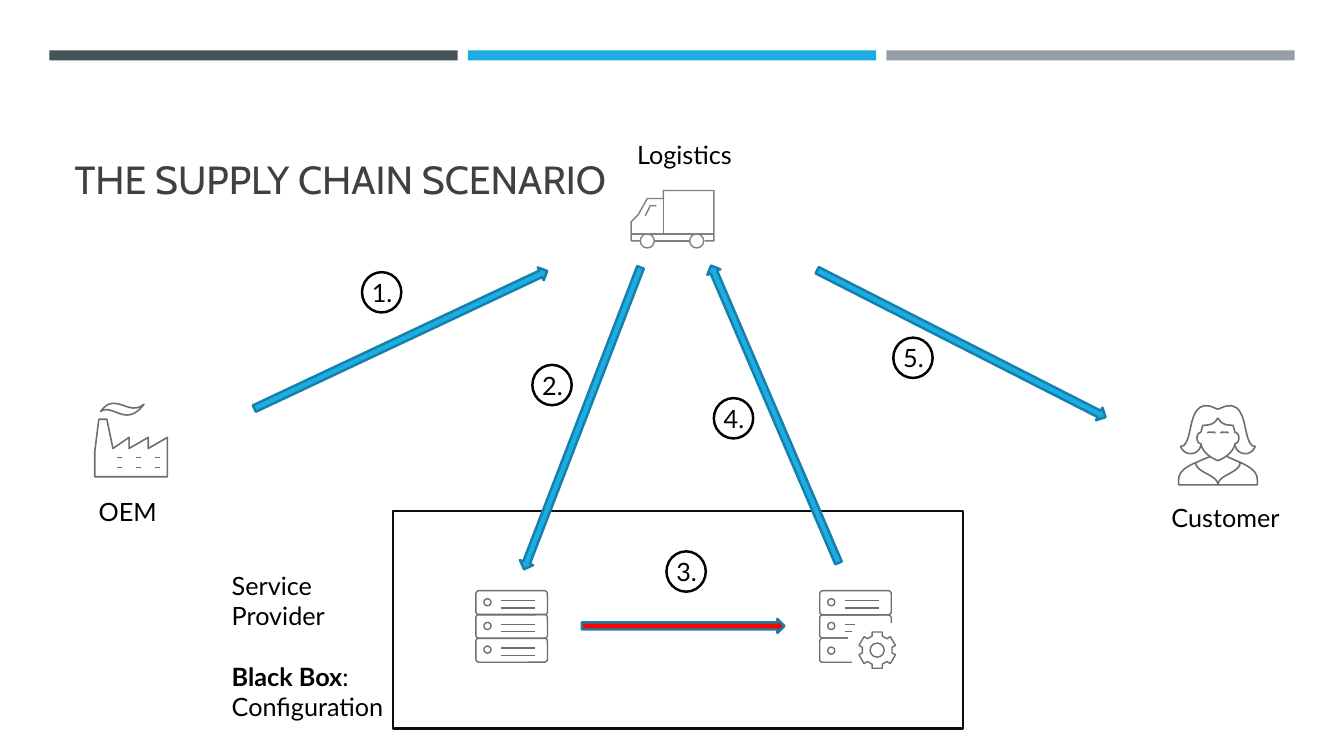
import math

from lxml import etree
from pptx import Presentation
from pptx.dml.color import RGBColor
from pptx.enum.shapes import MSO_CONNECTOR, MSO_SHAPE
from pptx.enum.text import MSO_ANCHOR, MSO_AUTO_SIZE, PP_ALIGN
from pptx.oxml.ns import qn
from pptx.util import Inches, Pt

RECTANGLE, ROUNDED = MSO_SHAPE.RECTANGLE, MSO_SHAPE.ROUNDED_RECTANGLE
OVAL, ARROW = MSO_SHAPE.OVAL, MSO_SHAPE.RIGHT_ARROW
STRAIGHT = MSO_CONNECTOR.STRAIGHT
BOTTOM, LEFT = MSO_ANCHOR.BOTTOM, PP_ALIGN.LEFT
FIXED, GROW = MSO_AUTO_SIZE.NONE, MSO_AUTO_SIZE.SHAPE_TO_FIT_TEXT

BLACK = RGBColor(0x00, 0x00, 0x00)
FRAME = RGBColor(0x0D, 0x0D, 0x0D)
TITLE = RGBColor(0x40, 0x40, 0x40)
SLATE = RGBColor(0x46, 0x53, 0x59)
SILVER = RGBColor(0x96, 0x9F, 0xA7)
BLUE = RGBColor(0x1C, 0xAD, 0xE4)
DARK_BLUE = RGBColor(0x15, 0x80, 0xA9)
RED = RGBColor(0xFF, 0x00, 0x00)

# A pen is a line colour and a width in points.
BOLD_PEN = (BLACK, 1.75)
FRAME_PEN = (FRAME, 1.75)
ARROW_PEN = (DARK_BLUE, 1.75)
ICON_PEN = (RGBColor(0x6D, 0x6E, 0x71), 1.13)
SERVER_PEN = (RGBColor(0x6D, 0x6E, 0x71), 1)
TRUCK_PEN = (RGBColor(0x80, 0x80, 0x80), 1)

TITLE_FONT, BODY_FONT = "Cabin", "Lato"
CURVE_STEPS = 12
SERVER_PITCH = 0.235


def set_line(line, pen):
    line.color.rgb, line.width = pen[0], Pt(pen[1])


def style(shape, fill, pen):
    shape.shadow.inherit = False
    if fill is None:
        shape.fill.background()
    else:
        shape.fill.solid()
        shape.fill.fore_color.rgb = fill
    if pen is None:
        shape.line.fill.background()
    else:
        set_line(shape.line, pen)


def add_preset(shapes, kind, left, top, width, height, fill=None, pen=None):
    shape = shapes.add_shape(kind, Inches(left), Inches(top), Inches(width), Inches(height))
    style(shape, fill, pen)
    return shape


def add_stroke(shapes, x1, y1, x2, y2, pen):
    stroke = shapes.add_connector(STRAIGHT, Inches(x1), Inches(y1), Inches(x2), Inches(y2))
    set_line(stroke.line, pen)
    etree.SubElement(stroke.element.spPr, qn("a:effectLst"))


def curve_points(start, curve):
    """Sample a cubic curve given as two control points and an end point."""
    xs, ys = (start[0], *curve[::2]), (start[1], *curve[1::2])
    for step in range(1, CURVE_STEPS + 1):
        t = step / CURVE_STEPS
        weights = ((1 - t) ** 3, 3 * t * (1 - t) ** 2, 3 * t * t * (1 - t), t ** 3)
        yield tuple(sum(w * v for w, v in zip(weights, axis)) for axis in (xs, ys))


def add_outline(shapes, pen, segments, close=False):
    """Draw a path: two numbers are a point, six are a cubic curve."""
    points = [segments[0]]
    for segment in segments[1:]:
        points += [segment] if len(segment) == 2 else curve_points(points[-1], segment)
    first, *rest = [(Inches(x), Inches(y)) for x, y in points]
    builder = shapes.build_freeform(*first)
    builder.add_line_segments(rest, close=close)
    style(builder.convert_to_shape(), None, pen)


def add_label(shapes, left, top, width, height, paragraphs):
    """Write paragraphs, each a list of (text, bold) spans, one line apart."""
    box = shapes.add_textbox(Inches(left), Inches(top), Inches(width), Inches(height))
    frame = box.text_frame
    frame.word_wrap, frame.auto_size = True, GROW
    for index, spans in enumerate(paragraphs):
        para = frame.add_paragraph() if index else frame.paragraphs[0]
        para.font.name, para.font.size, para.font.color.rgb = BODY_FONT, Pt(18), BLACK
        if index:
            para.space_before = Pt(21.6)
        for text, bold in spans:
            span = para.add_run()
            span.text = text
            if bold:
                span.font.bold = True


def add_badge(shapes, text, left, top):
    add_label(shapes, left, top, 0.46, 0.4, [[(text, False)]])
    add_preset(shapes, OVAL, left, top, 0.39, 0.4, pen=BOLD_PEN)


def add_title(page, text):
    title = page.shapes.title
    title.left, title.top, title.width, title.height = map(Inches, (0.64, 0.77, 12.06, 1.29))
    frame = title.text_frame
    frame.text = text
    frame.vertical_anchor, frame.auto_size, frame.word_wrap = BOTTOM, FIXED, True
    para = frame.paragraphs[0]
    para.alignment = LEFT
    para.font.name, para.font.size, para.font.color.rgb = TITLE_FONT, Pt(28), TITLE


def draw_factory(icon):
    add_outline(icon, ICON_PEN, [(1, 4.08), (1.14, 3.88, 1.28, 4.14, 1.43, 4.01),
                                 (1.25, 4.25, 1.12, 4, 1, 4.08)], close=True)
    for column in range(3):
        for y in (4.54, 4.64):
            x = 1.16 + 0.19 * column
            add_stroke(icon, x, y, x + 0.05, y, ICON_PEN)
    add_outline(icon, ICON_PEN, [
        (0.94, 4.73), (0.94, 4.48), (0.98, 4.16), (1.06, 4.16), (1.12, 4.45), (1.28, 4.34),
        (1.28, 4.45), (1.47, 4.34), (1.47, 4.45), (1.66, 4.34), (1.66, 4.73)], close=True)


def draw_truck(icon):
    for left in (6.35, 6.84):
        add_preset(icon, OVAL, left, 2.32, 0.14, 0.14, pen=TRUCK_PEN)
    add_outline(icon, TRUCK_PEN, [
        (6.35, 2.39), (6.26, 2.39), (6.26, 2.2), (6.33, 2.13), (6.42, 1.97), (6.58, 1.97),
        (6.58, 1.89), (7.08, 1.89), (7.08, 2.39), (6.99, 2.39)])
    add_outline(icon, TRUCK_PEN, [(6.51, 2.04), (6.45, 2.04), (6.4, 2.14)])
    for ends in ((6.49, 2.39, 6.84, 2.39), (6.58, 1.97, 6.58, 2.32), (6.26, 2.32, 7.08, 2.32)):
        add_stroke(icon, *ends, TRUCK_PEN)


def draw_customer(icon):
    hair = [(12.25, 4.41), (12.25, 4.5, 12.4, 4.55, 12.45, 4.43),
            (12.3, 4.43, 12.42, 3.88, 12.08, 4.06), (11.74, 3.88, 11.86, 4.43, 11.71, 4.43),
            (11.76, 4.55, 11.91, 4.5, 11.91, 4.41)]
    face = [(12.08, 4.57), (12.13, 4.55, 12.23, 4.5, 12.25, 4.4),
            (12.3, 4.4, 12.3, 4.29, 12.25, 4.29), (12.23, 4.22),
            (12.1, 4.22, 12.1, 4.16, 12.08, 4.15), (12.06, 4.16, 12.06, 4.22, 11.93, 4.22),
            (11.91, 4.29), (11.86, 4.29, 11.86, 4.4, 11.91, 4.4),
            (11.93, 4.5, 12.03, 4.55, 12.08, 4.57)]
    shoulders = [(12.17, 4.53), (12.32, 4.6, 12.47, 4.64, 12.47, 4.76), (12.47, 4.81),
                 (11.69, 4.81), (11.69, 4.76), (11.69, 4.64, 11.84, 4.6, 12, 4.53)]
    add_outline(icon, ICON_PEN, hair)
    add_outline(icon, ICON_PEN, face, close=True)
    add_outline(icon, ICON_PEN, shoulders)
    for x in (11.86, 12.3):
        add_outline(icon, ICON_PEN, [(x, 4.59), (x, 4.69, 12.08, 4.71, 12.08, 4.81)])
    for x in (11.98, 12.11):
        add_outline(icon, ICON_PEN, [(x, 4.3), (x, 4.28, x + 0.02, 4.29, x + 0.04, 4.29),
                                     (x + 0.05, 4.29, x + 0.07, 4.28, x + 0.07, 4.3)])


def draw_server_unit(icon, left, top):
    unit = add_preset(icon, ROUNDED, left, top, 0.71, 0.24, pen=SERVER_PEN)
    unit.adjustments[0] = 0.13
    draw_server_marks(icon, left, top, (0.59, 0.59))


def draw_server_marks(icon, left, top, ends):
    """Draw the lamp and the slots, which stop at the given offsets."""
    for offset, end in zip((0.17, 0.1), ends):
        add_stroke(icon, left + 0.25, top + offset, left + end, top + offset, SERVER_PEN)
    add_preset(icon, OVAL, left + 0.08, top + 0.08, 0.07, 0.07, pen=SERVER_PEN)


def draw_server(icon):
    for row in range(3):
        draw_server_unit(icon, 4.72, 5.86 + row * SERVER_PITCH)


def draw_gear(icon, center_x, center_y):
    tooth = ((-0.05, -0.14), (-0.05, -0.18), (0.05, -0.18), (0.05, -0.14))
    points = []
    for turn in range(6):
        cos, sin = math.cos(turn * math.pi / 3), math.sin(turn * math.pi / 3)
        points += [(center_x + x * cos - y * sin, center_y + x * sin + y * cos) for x, y in tooth]
    add_outline(icon, SERVER_PEN, points, close=True)
    add_preset(icon, OVAL, center_x - 0.07, center_y - 0.07, 0.14, 0.14, pen=SERVER_PEN)


def draw_configured_server(icon):
    draw_gear(icon, 8.7, 6.45)
    draw_server_unit(icon, 8.13, 5.86)
    add_outline(icon, SERVER_PEN, [
        (8.41, 6.33), (8.16, 6.33), (8.14, 6.33, 8.13, 6.32, 8.13, 6.3), (8.13, 6.13),
        (8.13, 6.12, 8.14, 6.1, 8.16, 6.1), (8.8, 6.1),
        (8.83, 6.1, 8.84, 6.12, 8.84, 6.13), (8.84, 6.18)])
    draw_server_marks(icon, 8.13, 5.86 + SERVER_PITCH, (0.32, 0.35))
    add_outline(icon, SERVER_PEN, [
        (8.45, 6.57), (8.16, 6.57), (8.14, 6.57, 8.13, 6.56, 8.13, 6.54), (8.13, 6.37),
        (8.13, 6.35, 8.14, 6.33, 8.16, 6.33), (8.41, 6.33)])
    add_preset(icon, OVAL, 8.21, 6.42, 0.07, 0.07, pen=SERVER_PEN)


def main():
    deck = Presentation()
    deck.slide_width, deck.slide_height = Inches(13.33), Inches(7.5)
    page = deck.slides.add_slide(deck.slide_layouts[5])
    shapes = page.shapes
    for index, color in enumerate((SLATE, BLUE, SILVER)):
        add_preset(shapes, RECTANGLE, 0.49 + 4.15 * index, 0.5, 4.05, 0.1, color)
    add_preset(shapes, RECTANGLE, 3.9, 5.07, 5.65, 2.16, pen=FRAME_PEN)
    add_title(page, "THE SUPPLY CHAIN SCENARIO")
    for draw in (draw_factory, draw_truck, draw_customer):
        draw(shapes.add_group_shape().shapes)
    for left, top, angle in ((2.37, 3.3, 334.8), (4.17, 4.08, 111.1),
                             (6.08, 4.04, 246.8), (7.93, 3.34, 27)):
        add_preset(shapes, ARROW, left, top, 3.21, 0.14, BLUE, ARROW_PEN).rotation = angle
    for text, left, top in (("2.", 5.28, 3.62), ("1.", 3.59, 2.7), ("4.", 7.08, 3.95),
                            ("5.", 8.86, 3.35), ("3.", 6.61, 5.47)):
        add_badge(shapes, text, left, top)
    add_preset(shapes, ARROW, 5.77, 6.14, 2.01, 0.14, RED, ARROW_PEN)
    add_label(shapes, 2.2, 5.61, 1.71, 1.62, [
        [("Service Provider", False)], [("Black Box", True), (": Configuration", False)]])
    for text, left, top in (("OEM", 0.88, 4.87), ("Logistics", 6.22, 1.33),
                            ("Customer", 11.52, 4.93)):
        add_label(shapes, left, top, 1.71, 0.4, [[(text, False)]])
    for draw in (draw_server, draw_configured_server):
        draw(shapes.add_group_shape().shapes)
    deck.save("out.pptx")


if __name__ == "__main__":
    main()
